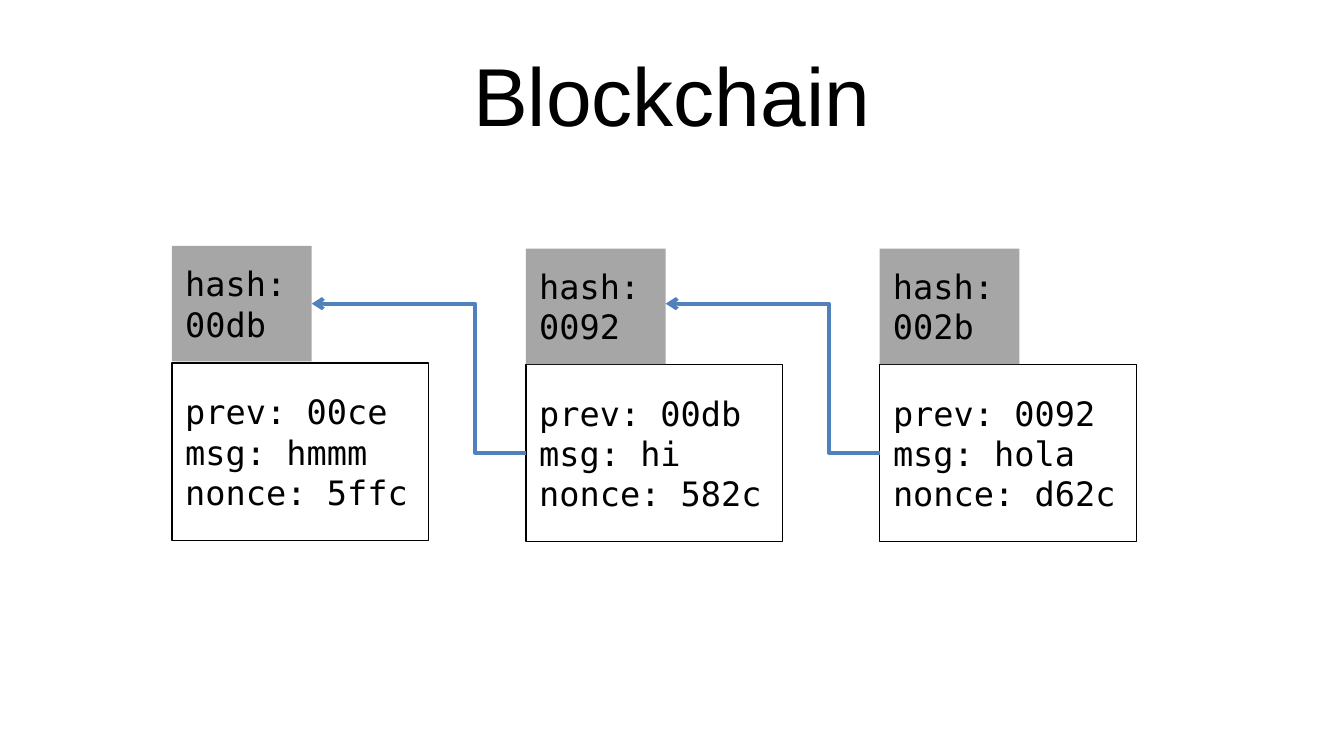
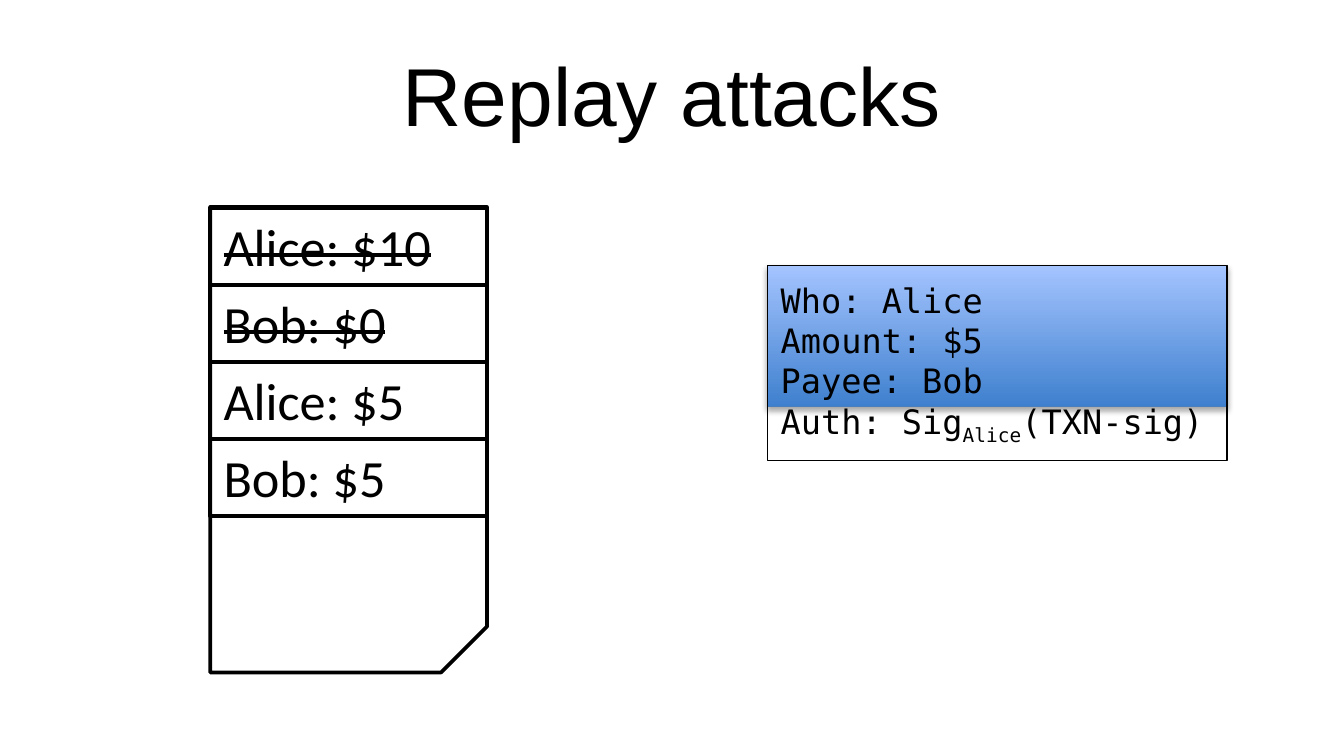
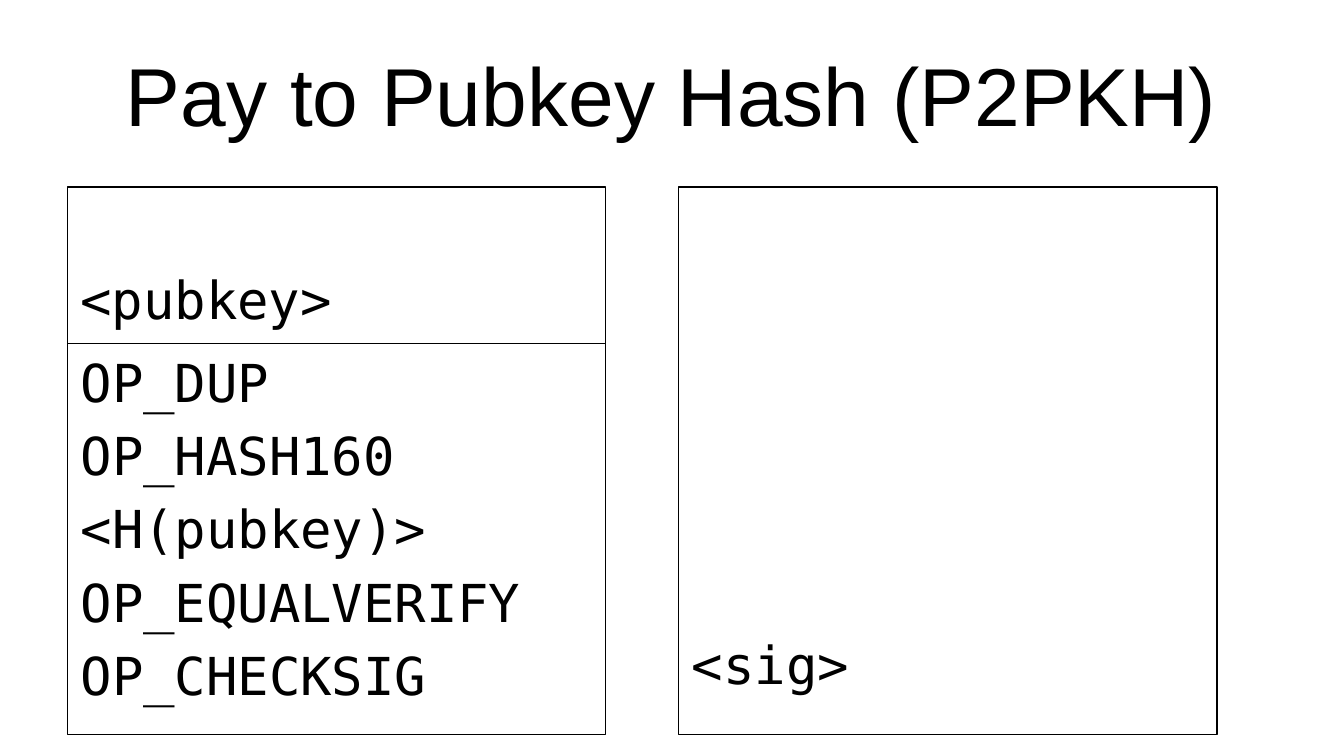
from lxml.etree import SubElement
from pptx import Presentation
from pptx.dml.color import RGBColor as RGB
from pptx.enum.shapes import MSO_CONNECTOR as CONN, MSO_SHAPE as SHAPE
from pptx.enum.text import MSO_ANCHOR as ANCHOR, MSO_AUTO_SIZE as AUTO, PP_ALIGN as ALIGN
from pptx.oxml.ns import qn
from pptx.util import Inches, Pt

COLORS = {
    "ink": "000000", "paper": "FFFFFF", "hash": "A6A6A6", "link": "4F81BD",
    "deep": "3F80CE", "light": "A4C4FF", "edge": "4B7EBC",
}
MONO, SANS, HEAD = "DejaVu Sans Mono", "Calibri", "Arial"
COLS, ROWS = 100, 56.25         # square grid cells, a tenth of an inch each
TITLE_ONLY, TITLE_BODY = 5, 1   # template layouts


def color(name):
    return RGB.from_string(COLORS[name])


def grid(*cells):
    return [Inches(n / 10) for n in cells]


class Deck:
    """The shared style and the slide being built."""

    def __init__(self):
        self.prs = Presentation()
        self.prs.slide_width, self.prs.slide_height = grid(COLS, ROWS)

    def slide(self, title, layout=TITLE_ONLY):
        self.s = self.prs.slides.add_slide(self.prs.slide_layouts[layout])
        sp = self.s.shapes.title
        self.place(sp, 5, 2.3, 90, 9.4)
        self.text(sp, [title], HEAD, 44, ANCHOR.MIDDLE, ALIGN.CENTER)

    def place(self, sp, *cells):
        sp.left, sp.top, sp.width, sp.height = grid(*cells)

    def text(self, sp, lines, font=MONO, size=18, anchor=ANCHOR.MIDDLE,
             align=ALIGN.LEFT, before=0, strike=False):
        """Write paragraphs; a line is a string or a list of (text, baseline)."""
        tf = sp.text_frame
        tf.word_wrap, tf.auto_size, tf.vertical_anchor = True, AUTO.NONE, anchor
        for i, line in enumerate(lines):
            p = tf.add_paragraph() if i else tf.paragraphs[0]
            p.alignment, p.space_before = align, Pt(before)
            for words, baseline in [(line, 0)] if isinstance(line, str) else line:
                r = p.add_run()
                r.text = words
                r.font.name, r.font.size = font, Pt(size)
                r.font.color.rgb = color("ink")
                rPr = r.font._element
                if baseline:
                    rPr.set("baseline", str(baseline * 1000))
                if strike:
                    rPr.set("strike", "sngStrike")
        return tf

    def outline(self, sp, line="ink", width=0.75):
        if line:
            sp.line.color.rgb, sp.line.width = color(line), Pt(width)
        else:
            sp.line.fill.background()

    def box(self, *cells, kind=SHAPE.RECTANGLE, fill=None, line="ink", width=0.75):
        sp = self.s.shapes.add_shape(kind, *grid(*cells))
        sp.shadow.inherit = False
        if fill:
            sp.fill.solid()
            sp.fill.fore_color.rgb = color(fill)
        else:
            sp.fill.background()
        self.outline(sp, line, width)
        return sp

    def glow_box(self, *cells):
        """A box with an upward gradient and a soft shadow."""
        sp = self.box(*cells, line="edge")
        sp.fill.gradient()
        sp.fill.gradient_angle = 90
        for stop, name in zip(sp.fill.gradient_stops, ("deep", "light")):
            stop.color.rgb = color(name)
        effects = sp.element.spPr.find(qn("a:effectLst"))
        shadow = SubElement(effects, qn("a:outerShdw"), blurRad="40000",
                            dist="23000", dir="5400000", rotWithShape="0")
        ink = SubElement(shadow, qn("a:srgbClr"), val=COLORS["ink"])
        SubElement(ink, qn("a:alpha"), val="35000")

    def link(self, x1, y1, x2, y2, bend):
        """An elbow arrow that turns at the given percentage of its run."""
        c = self.s.shapes.add_connector(CONN.ELBOW, *grid(x1, y1, x2, y2))
        self.outline(c, "link", 2)
        spPr = c.element.spPr
        SubElement(spPr.find(qn("a:ln")), qn("a:tailEnd"), type="arrow")
        SubElement(spPr, qn("a:effectLst"))
        guides = spPr.find(qn("a:prstGeom")).get_or_add_avLst()
        SubElement(guides, qn("a:gd"), name="adj1", fmla=f"val {bend * 1000:.0f}")

    def body(self, lines, *cells):
        sp = self.s.placeholders[1]
        self.place(sp, *cells)
        self.outline(sp)
        tf = self.text(sp, lines, size=28, anchor=ANCHOR.TOP, before=5.6)
        for p in tf.paragraphs:
            pPr = p._p.get_or_add_pPr()
            pPr.set("marL", "0")
            pPr.set("indent", "0")
            SubElement(pPr, qn("a:buNone"))

    def stack(self, word, skip, *cells):
        """A script stack whose word stands below the skipped lines."""
        tf = self.text(self.box(*cells), [word], size=28, anchor=ANCHOR.TOP)
        tf.margin_top = Pt(3.6 + 39.2 * skip)


deck = Deck()

# Blockchain: each block points back to the hash of the one before
deck.slide("Blockchain")
BLOCK_W, BLOCK_H, HASH_W, HASH_H, STEP = 19.1, 13.2, 10.4, 8.6, 26.33
blocks = [  # hash, prev, msg, nonce, top of hash, top of block
    ("00db", "00ce", "hmmm", "5ffc", 18.3, 27),
    ("0092", "00db", "hi", "582c", 18.5, 27.1),
    ("002b", "0092", "hola", "d62c", 18.5, 27.1),
]
for i, (digest, prev, msg, nonce, hash_top, top) in enumerate(blocks):
    x = 12.8 + i * STEP
    block = deck.box(x, top, BLOCK_W, BLOCK_H)
    deck.text(block, [f"prev: {prev}", f"msg: {msg}", f"nonce: {nonce}"])
    label = deck.box(x, hash_top, HASH_W, HASH_H, fill="hash", line=None)
    deck.text(label, [f"hash:{digest} "])
    if i:
        deck.link(x, top + BLOCK_H / 2, x - STEP + HASH_W, 22.6, bend=23.7)

# Replay attacks: the ledger on the left, the transaction on the right
deck.slide("Replay attacks")
LEFT, TOP, WIDTH, ROW = 15.65, 15.45, 20.6, 5.74
page = deck.box(LEFT, TOP, WIDTH, 34.6, kind=SHAPE.SNIP_1_RECTANGLE,
                fill="paper", width=2)
page.element.spPr.find(qn("a:xfrm")).set("flipV", "1")
entries = [("Alice: $10", True), ("Bob: $0", True), ("Alice: $5", False), ("Bob: $5", False)]
for i, (entry, spent) in enumerate(entries):
    row = deck.box(LEFT, TOP + i * ROW, WIDTH, ROW, width=2.25)
    tf = deck.text(row, [entry], SANS, 28, ANCHOR.TOP, strike=spent)
    tf.auto_size = AUTO.SHAPE_TO_FIT_TEXT

deck.glow_box(57.1, 19.75, 34.2, 10.5)
deck.text(deck.box(57.1, 19.75, 34.2, 14.5), [
    "Who: Alice", "Amount: $5", "Payee: Bob",
    [("Auth: Sig", 0), ("Alice", -25), ("(TXN-sig)", 0)],
])

# Pay to Pubkey Hash: the script and its stacks
deck.slide("Pay to Pubkey Hash (P2PKH)", TITLE_BODY)
deck.body(["OP_DUP", "OP_HASH160", "<H(pubkey)>", "OP_EQUALVERIFY", "OP_CHECKSIG"],
          5, 25.55, 40.05, 29.1)
deck.stack("<pubkey>", 1, 5, 13.9, 40.05, 11.65)
deck.stack("<sig>", 6, 50.5, 13.9, 40.05, 40.75)

deck.prs.save("out.pptx")
